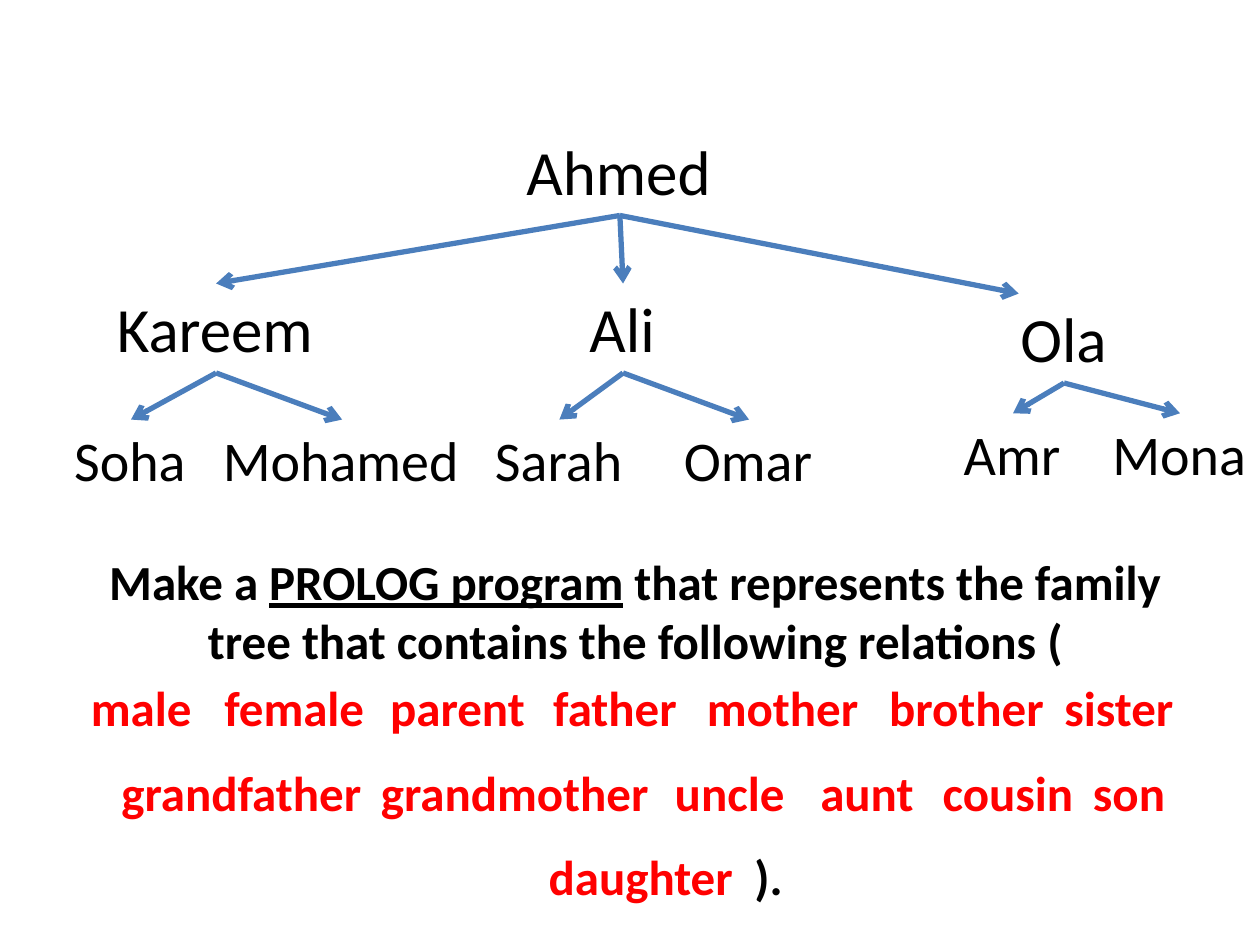
from lxml import etree
from pptx import Presentation
from pptx.dml.color import RGBColor
from pptx.enum.shapes import MSO_CONNECTOR
from pptx.enum.text import PP_ALIGN
from pptx.oxml.ns import qn
from pptx.util import Inches, Pt

STRAIGHT = MSO_CONNECTOR.STRAIGHT
LEFT, CENTER = PP_ALIGN.LEFT, PP_ALIGN.CENTER
FONT = "Calibri"
BLACK, RED, BLUE = "000000", "FF0000", "4B7EBC"

# Offsets within the tree: name, left, top, width
ROOT = ("Ahmed", 3.59, 0, 1.68)
# Each branch: parent, children, shift of the arrow end from the parent's centre
BRANCHES = [
    (("Kareem", 0.34, 1.25, 1.77),
     [("Soha", 0, 2.33, 1.1), ("Mohamed", 1.18, 2.33, 2.09)], 0),
    (("Ali", 4.09, 1.25, 0.73),
     [("Sarah", 3.34, 2.33, 1.22), ("Omar", 4.84, 2.33, 1.23)], 0),
    (("Ola", 7.51, 1.33, 0.89),
     [("Amr", 7.06, 2.28, 0.98), ("Mona", 8.24, 2.28, 1.27)], -0.36),
]
# Rows of relations: name, left, width within the task box
RELATION_ROWS = [
    [("male", 0.08, 1.08), ("female", 1.17, 1.33), ("parent", 2.42, 1.42),
     ("father", 3.67, 1.42), ("mother", 5, 1.42), ("brother", 6.42, 1.5),
     ("sister", 7.67, 1.42)],
    [("grandfather", 0.33, 2.17), ("grandmother", 2.42, 2.33),
     ("uncle", 4.58, 1.42), ("aunt", 5.67, 1.42), ("cousin", 6.75, 1.5),
     ("son", 7.75, 1.42)],
    [("daughter", 3.67, 1.83)],
]


def color(value):
    return RGBColor.from_string(value)


def add_text(slide, runs, left, top, width, height, size, fill=BLACK,
             bold=False, align=LEFT, wrap=True):
    """Add one paragraph; runs are (text, underlined) pairs."""
    box = slide.shapes.add_textbox(
        Inches(left), Inches(top), Inches(width), Inches(height))
    box.text_frame.word_wrap = wrap
    paragraph = box.text_frame.paragraphs[0]
    paragraph.alignment = align
    font = paragraph.font
    font.name, font.size, font.bold = FONT, Pt(size), bold
    font.color.rgb = color(fill)
    for text, underlined in runs:
        run = paragraph.add_run()
        run.text = text
        if underlined:
            run.font.underline = True


def add_arrow(slide, start, end):
    arrow = slide.shapes.add_connector(
        STRAIGHT, *(Inches(value) for value in (*start, *end)))
    arrow.line.color.rgb = color(BLUE)
    arrow.line.width = Pt(3)
    etree.SubElement(arrow.line._get_or_add_ln(), qn("a:tailEnd"), type="arrow")
    etree.SubElement(arrow._element.spPr, qn("a:effectLst"))


def add_family_tree(slide, left, top):
    def add_person(person, size, height):
        """Add a name and return the middle of its top and bottom edges."""
        name, x, y, width = person
        add_text(slide, [(name, False)], left + x, top + y, width, height,
                 size, wrap=False)
        middle = left + x + width / 2
        return (middle, top + y), (middle, top + y + height)

    _, root_bottom = add_person(ROOT, 36, 0.71)
    for parent, children, shift in BRANCHES:
        (middle, parent_top), parent_bottom = add_person(parent, 36, 0.71)
        add_arrow(slide, root_bottom, (middle + shift, parent_top))
        for child in children:
            child_top, _ = add_person(child, 32, 0.64)
            add_arrow(slide, parent_bottom, child_top)


def add_task(slide, left, top, width):
    # Instruction
    add_text(slide, [("Make a ", False), ("PROLOG program", True),
                     (" that represents the family tree that contains "
                      "the following relations (", False)],
             left, top, width, 1.04, 28, bold=True, align=CENTER)
    # Relations
    row_height = 0.67
    for index, row in enumerate(RELATION_ROWS):
        row_top = top + 1 + index * row_height
        for name, x, relation_width in row:
            add_text(slide, [(name, False)], left + x, row_top,
                     relation_width, 0.57, 28, RED, True, CENTER)
    # Closing bracket on the last row
    add_text(slide, [(").", False)], left + 5.25, row_top, 0.7, 0.57, 28,
             bold=True, align=CENTER)


presentation = Presentation()
presentation.slide_width, presentation.slide_height = Inches(10), Inches(7.5)
slide = presentation.slides.add_slide(presentation.slide_layouts[6])
add_family_tree(slide, 0.49, 1)
add_task(slide, 0.5, 4.33, 9.08)
presentation.save("out.pptx")
